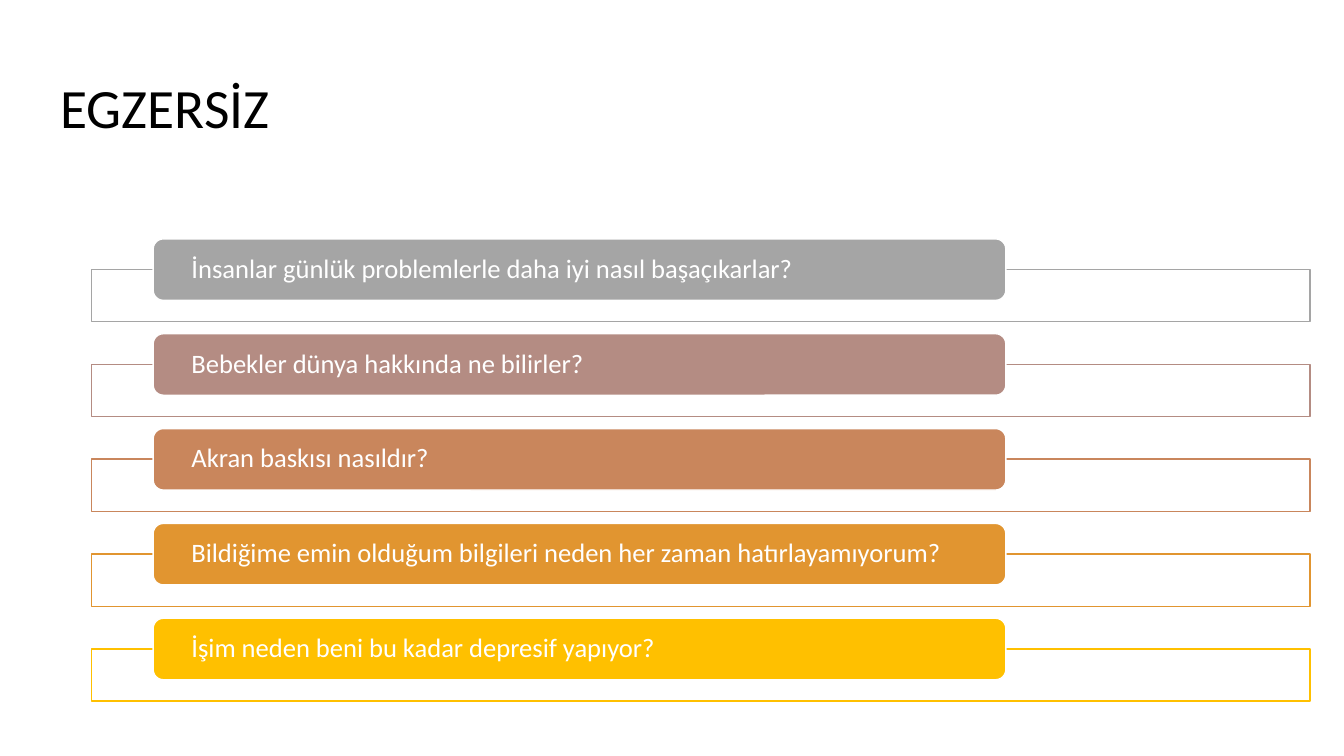
from lxml import etree
from pptx import Presentation
from pptx.dml.color import RGBColor
from pptx.enum.shapes import MSO_SHAPE
from pptx.enum.text import MSO_ANCHOR, MSO_AUTO_SIZE, PP_ALIGN
from pptx.oxml.ns import qn
from pptx.util import Cm, Pt

RECTANGLE, ROUNDED = MSO_SHAPE.RECTANGLE, MSO_SHAPE.ROUNDED_RECTANGLE
MIDDLE, LEFT, NO_FIT = MSO_ANCHOR.MIDDLE, PP_ALIGN.LEFT, MSO_AUTO_SIZE.NONE

WHITE = RGBColor(0xFF, 0xFF, 0xFF)
BLACK = RGBColor(0x00, 0x00, 0x00)
GREY = RGBColor(0xA5, 0xA5, 0xA5)
ROSE = RGBColor(0xB4, 0x8C, 0x83)
COPPER = RGBColor(0xC9, 0x86, 0x5C)
ORANGE = RGBColor(0xE1, 0x95, 0x30)
GOLD = RGBColor(0xFF, 0xC0, 0x00)

TITLE = "EGZERSİZ"
QUESTIONS = [
    ("İnsanlar günlük problemlerle daha iyi nasıl başaçıkarlar?", GREY),
    ("Bebekler dünya hakkında ne bilirler?", ROSE),
    ("Akran baskısı nasıldır?", COPPER),
    ("Bildiğime emin olduğum bilgileri neden her zaman hatırlayamıyorum?", ORANGE),
    ("İşim neden beni bu kadar depresif yapıyor?", GOLD),
]

TITLE_PLACE = {"left": Cm(1.27), "top": Cm(2.11), "width": Cm(31.32), "height": Cm(1.37)}
TITLE_FONT = {"name": "Calibri", "size": Pt(39.6)}
BAR_FONT = {"name": "Calibri", "size": Pt(19)}
BAR_FRAME = {"margin_left": Cm(0.89), "margin_right": Cm(0.89), "margin_top": 0,
             "margin_bottom": 0, "word_wrap": True}
FIRST_BAR_TOP, PITCH = 6.02, 2.39
BAR_LEFT, BAR_WIDTH, BAR_HEIGHT = 3.86, 21.49, 1.55
FRAME_LEFT, FRAME_WIDTH, FRAME_HEIGHT, FRAME_DROP = 2.31, 30.71, 1.32, 0.77


def set_all(target, values):
    for name, value in values.items():
        setattr(target, name, value)


def write(frame, text, font, color):
    frame.text = text
    frame.auto_size = NO_FIT
    frame.vertical_anchor = MIDDLE
    para = frame.paragraphs[0]
    set_all(para, {"alignment": LEFT, "line_spacing": 0.9})
    set_all(para.font, font)
    para.font.color.rgb = color


def add_box(page, kind, place, fill, line):
    box = page.shapes.add_shape(kind, *(Cm(length) for length in place))
    box.shadow.inherit = False
    box.fill.solid()
    box.fill.fore_color.rgb = fill
    box.line.color.rgb = line
    box.line.width = Pt(1)
    return box


def set_opacity(box, percent):
    color = box.fill._xPr.find(qn("a:solidFill"))[0]
    etree.SubElement(color, qn("a:alpha")).set("val", str(percent * 1000))


def main():
    deck = Presentation()
    deck.slide_width, deck.slide_height = Cm(33.87), Cm(19.05)
    page = deck.slides.add_slide(deck.slide_layouts[5])

    set_all(page.shapes.title, TITLE_PLACE)
    write(page.shapes.title.text_frame, TITLE, TITLE_FONT, BLACK)

    for row, (question, color) in enumerate(QUESTIONS):
        top = FIRST_BAR_TOP + row * PITCH
        frame = add_box(page, RECTANGLE,
                        (FRAME_LEFT, top + FRAME_DROP, FRAME_WIDTH, FRAME_HEIGHT), WHITE, color)
        set_opacity(frame, 90)
        bar = add_box(page, ROUNDED, (BAR_LEFT, top, BAR_WIDTH, BAR_HEIGHT), color, WHITE)
        set_all(bar.text_frame, BAR_FRAME)
        write(bar.text_frame, question, BAR_FONT, WHITE)

    deck.save("out.pptx")


if __name__ == "__main__":
    main()
